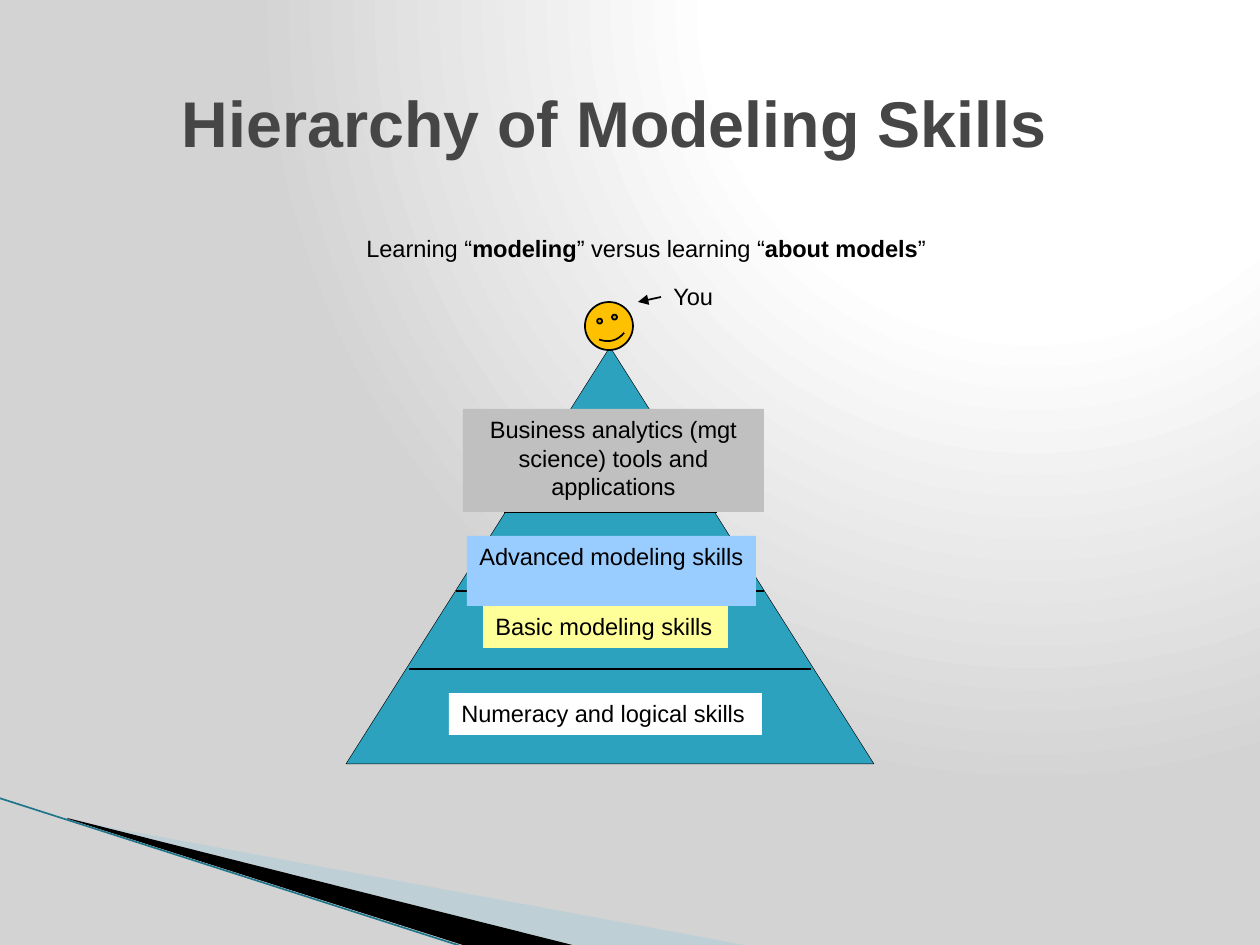
import pptx
import pptx.util
import pptx.dml.color
import pptx.enum.shapes
import pptx.enum.text
import pptx.oxml
import pptx.oxml.ns
import pptx.oxml.xmlchemy

RGB = pptx.dml.color.RGBColor
SHAPE = pptx.enum.shapes.MSO_SHAPE
ALIGN = pptx.enum.text.PP_ALIGN
Pt = pptx.util.Pt
qn = pptx.oxml.ns.qn
OxmlElement = pptx.oxml.xmlchemy.OxmlElement
PX = 914400 / 126  # EMU per px

BLACK = RGB(0, 0, 0)
WHITE = RGB(255, 255, 255)
TITLE_GREY = RGB(0x46, 0x46, 0x46)
TEAL = RGB(0x2D, 0xA2, 0xBF)
PALE_TEAL = RGB(0xA0, 0xCB, 0xDC)
EDGE_TEAL = RGB(0x1F, 0x75, 0x8A)
YELLOW = RGB(0xFF, 0xFF, 0x99)
SKY = RGB(0x99, 0xCC, 0xFF)
SILVER = RGB(0xC0, 0xC0, 0xC0)
GOLD = RGB(0xFF, 0xC0, 0)
BODY = {"name": "Arial", "size": Pt(13.5), "bold": False}


def px(*values):
    return [round(v * PX) for v in values]


def add_line(start, end, color, width):
    c = s.shapes.add_connector(pptx.enum.shapes.MSO_CONNECTOR.STRAIGHT, *px(*start, *end))
    c.line.color.rgb = color
    c.line.width = Pt(width)
    c._element.spPr.append(OxmlElement("a:effectLst"))
    return c


prs = pptx.Presentation()
prs.slide_width, prs.slide_height = px(1260, 945)
s = prs.slides.add_slide(prs.slide_layouts[5])

# Background: circular gradient spreading from the top right
s.background.fill.gradient()
grad = s._element.find(".//" + qn("a:gradFill"))
grad.getparent().replace(grad, pptx.oxml.parse_xml(
    '<a:gradFill xmlns:a="http://schemas.openxmlformats.org/drawingml/2006/main" rotWithShape="1">'
    '<a:gsLst><a:gs pos="0"><a:srgbClr val="FFFFFF"/></a:gs>'
    '<a:gs pos="40000"><a:srgbClr val="FFFFFF"/></a:gs>'
    '<a:gs pos="100000"><a:srgbClr val="D3D3D3"/></a:gs></a:gsLst>'
    '<a:path path="circle"><a:fillToRect l="65000" t="0" r="0" b="98000"/></a:path></a:gradFill>'))

# Corner wedges
wedges = [
    ([(69, 820), (750, 946), (575, 946), (69, 819)], PALE_TEAL, 40),
    ([(67, 818), (576, 946), (469, 947), (68, 819)], BLACK, 100),
]
for points, color, opacity in wedges:
    builder = s.shapes.build_freeform(*points[0], scale=PX)
    builder.add_line_segments(points[1:], close=True)
    sp = builder.convert_to_shape()
    sp.shadow.inherit = False
    sp.fill.solid()
    sp.fill.fore_color.rgb = color
    sp.line.fill.background()
    alpha = OxmlElement("a:alpha")
    alpha.set("val", str(opacity * 1000))
    sp._element.spPr.find(qn("a:solidFill"))[0].append(alpha)
add_line((-1, 798), (467, 948), EDGE_TEAL, 0.95)

# Title
title = s.shapes.title
title.left, title.top, title.width, title.height = px(169, 86, 964, 72)
tf = title.text_frame
tf.text = "Hierarchy of Modeling Skills"
tf.auto_size = pptx.enum.text.MSO_AUTO_SIZE.NONE
tf.vertical_anchor = pptx.enum.text.MSO_ANCHOR.MIDDLE
p = tf.paragraphs[0]
p.alignment = ALIGN.LEFT
for key, value in {"name": "Arial", "size": Pt(36.9), "bold": True}.items():
    setattr(p.font, key, value)
p.font.color.rgb = TITLE_GREY

# Pyramid, its level lines and the face on top
figures = [
    (SHAPE.ISOSCELES_TRIANGLE, (346, 347, 528, 417), TEAL, 0.25, 0.5, 0),
    (SHAPE.SMILEY_FACE, (585, 302, 48, 48), GOLD, 1, 0.047, 345),
]
for kind, box, color, width, adjustment, rotation in figures:
    sp = s.shapes.add_shape(kind, *px(*box))
    sp.shadow.inherit = False
    sp.fill.solid()
    sp.fill.fore_color.rgb = color
    sp.line.color.rgb = BLACK
    sp.line.width = Pt(width)
    sp.adjustments[0] = adjustment
    sp.rotation = rotation
for left, right, y in [(409, 811, 669), (456, 764, 591), (504, 717, 512)]:
    add_line((left, y), (right, y), BLACK, 0.75)

# Labels: box, fill, wrap, alignment, runs as (text, bold)
labels = [
    ((449, 693, 313, 42), WHITE, False, ALIGN.LEFT, [("Numeracy and logical skills", False)]),
    ((483, 606, 245, 42), YELLOW, False, ALIGN.LEFT, [("Basic modeling skills", False)]),
    ((467, 536, 289, 70), SKY, True, ALIGN.LEFT, [("Advanced modeling skills", False)]),
    ((463, 409, 301, 103), SILVER, True, ALIGN.CENTER,
     [("Business analytics (mgt science) tools and applications", False)]),
    ((354, 228, 592, 42), None, False, ALIGN.LEFT,
     [("Learning “", False), ("modeling", True), ("” versus learning “", False),
      ("about models", True), ("”", False)]),
    ((661, 276, 126, 42), None, True, ALIGN.LEFT, [("You", False)]),
]
for box, color, wrap, alignment, runs in labels:
    if color is None:
        sp = s.shapes.add_textbox(*px(*box))
    else:
        sp = s.shapes.add_shape(SHAPE.RECTANGLE, *px(*box))
        sp.shadow.inherit = False
        sp.fill.solid()
        sp.fill.fore_color.rgb = color
        sp.line.fill.background()
    tf = sp.text_frame
    tf.word_wrap = wrap
    tf.vertical_anchor = pptx.enum.text.MSO_ANCHOR.TOP
    p = tf.paragraphs[0]
    p.alignment = alignment
    for text, bold in runs:
        r = p.add_run()
        r.text = text
        for key, value in {**BODY, "bold": bold}.items():
            setattr(r.font, key, value)
        r.font.color.rgb = BLACK
you = sp

# Arrow from "You" to the face
arrow = add_line((661, 297), (638, 302), BLACK, 1)
arrow.begin_connect(you, 1)
tail = OxmlElement("a:tailEnd")
tail.set("type", "triangle")
arrow._element.spPr.find(qn("a:ln")).append(tail)

prs.save("out.pptx")
